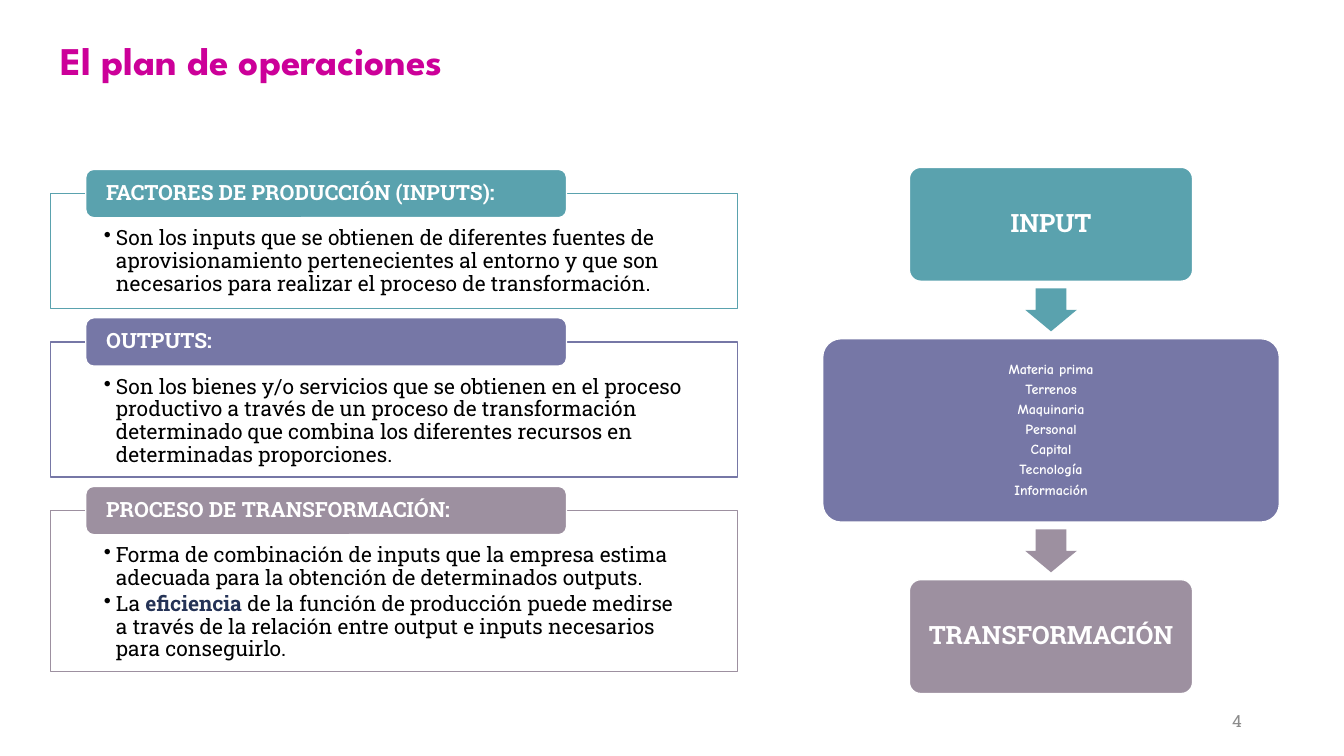
from dataclasses import dataclass

from lxml import etree
from pptx import Presentation
from pptx.dml.color import RGBColor
from pptx.enum.shapes import MSO_SHAPE
from pptx.enum.text import MSO_ANCHOR, MSO_AUTO_SIZE, PP_ALIGN
from pptx.oxml.ns import qn
from pptx.util import Inches, Pt

RECTANGLE, ROUNDED = MSO_SHAPE.RECTANGLE, MSO_SHAPE.ROUNDED_RECTANGLE
DOWN_ARROW = MSO_SHAPE.DOWN_ARROW
TOP, MIDDLE = MSO_ANCHOR.TOP, MSO_ANCHOR.MIDDLE
LEFT, CENTER, RIGHT = PP_ALIGN.LEFT, PP_ALIGN.CENTER, PP_ALIGN.RIGHT

PAGE_WIDTH, PAGE_HEIGHT = Inches(13.33), Inches(7.5)
TEAL, VIOLET, MAUVE = "5AA2AE", "7677A6", "9D90A0"
WHITE, BLACK, NAVY, MAGENTA, GREY = "FFFFFF", "000000", "253356", "CC0099", "8C8C8C"
SLAB, COMIC, SPARTAN = "Roboto Slab", "Comic Neue", "League Spartan"

PANEL_LEFT, PANEL_TOP, PANEL_WIDTH, PANEL_GAP = 3.75, 25.6, 51.15, 4.43
TAG_LEFT, TAG_WIDTH, TAG_HEIGHT = 6.38, 35.78, 6.4
FLOW_CENTER, FLOW_TOP, FLOW_GAP = 78.2, 22.13, 7.6
ARROW_WIDTH, ARROW_HEIGHT = 3.83, 5.67


@dataclass(frozen=True)
class Area:
    """Percentages of the slide's width and height."""
    left: float
    top: float
    width: float
    height: float


@dataclass(frozen=True)
class Margins:
    side: float
    top: float
    bottom: float


@dataclass(frozen=True)
class Style:
    font: str
    size: float
    color: str
    bold: bool = False
    align: PP_ALIGN = LEFT
    line_spacing: float = 0.9
    after: float = 0
    bullet: bool = False


@dataclass(frozen=True)
class Span:
    text: str
    strong: bool = False


@dataclass(frozen=True)
class Panel:
    heading: str
    color: str
    height: float
    points: list[list[Span]]


@dataclass(frozen=True)
class Step:
    lines: list[str]
    color: str
    width: float
    height: float
    style: Style
    margins: Margins


BODY = Style(SLAB, 15, BLACK, after=2.25, bullet=True)
HEADING = Style(SLAB, 15, WHITE, True, after=5.25)
STAGE = Style(SLAB, 18, WHITE, True, CENTER, after=6.3)
RESOURCE = Style(COMIC, 10, WHITE, True, CENTER, after=3.5)
TITLE = Style(SPARTAN, 28, MAGENTA, True, line_spacing=1)
PAGE_NUMBER = Style(SLAB, 12, GREY, align=RIGHT, line_spacing=1, after=6)

BODY_MARGINS = Margins(3.98, 4.53, 1.6)
TAG_MARGINS = Margins(1.35, 0, 0)
STAGE_MARGINS = Margins(0.53, 0.93, 0.93)
RESOURCE_MARGINS = Margins(0.3, 0.53, 0.53)
PLAIN_MARGINS = Margins(0.75, 0.67, 0.67)

PANELS = [
    Panel("FACTORES DE PRODUCCIÓN (INPUTS):", TEAL, 15.2, [
        [Span("Son los inputs que se obtienen de diferentes fuentes de aprovisionamiento "
              "pertenecientes al entorno y que son necesarios para realizar el proceso "
              "de transformación.")]]),
    Panel("OUTPUTS:", VIOLET, 17.87, [
        [Span("Son los bienes y/o servicios que se obtienen en el proceso productivo a "
              "través de un proceso de transformación determinado que combina los "
              "diferentes recursos en determinadas proporciones.")]]),
    Panel("PROCESO DE TRANSFORMACIÓN:", MAUVE, 21.33, [
        [Span("Forma de combinación de inputs que la empresa estima adecuada para la "
              "obtención de determinados outputs.")],
        [Span("La "), Span("eficiencia", True),
         Span(" de la función de producción puede medirse a través de la relación entre "
              "output e inputs necesarios para conseguirlo.")]]),
]

STEPS = [
    Step(["INPUT"], TEAL, 21.08, 15.07, STAGE, STAGE_MARGINS),
    Step(["Materia prima", "Terrenos", "Maquinaria", "Personal", "Capital",
          "Tecnología", "Información"], VIOLET, 33.98, 24.27, RESOURCE, RESOURCE_MARGINS),
    Step(["TRANSFORMACIÓN"], MAUVE, 21.08, 15.07, STAGE, STAGE_MARGINS),
]


def across(share: float) -> int:
    return round(PAGE_WIDTH * share / 100)


def down(share: float) -> int:
    return round(PAGE_HEIGHT * share / 100)


def place(area: Area) -> tuple[int, int, int, int]:
    return across(area.left), down(area.top), across(area.width), down(area.height)


def rgb(color: str) -> RGBColor:
    return RGBColor.from_string(color)


def add_bullet(para) -> None:
    properties = para._p.get_or_add_pPr()
    properties.set("marL", str(Inches(0.12)))
    properties.set("indent", str(-Inches(0.12)))
    etree.SubElement(properties, qn("a:buChar")).set("char", "•")


def write(box, paragraphs: list[list[Span]], style: Style, margins: Margins,
          anchor: MSO_ANCHOR, wrap: bool = True) -> None:
    frame = box.text_frame
    frame.word_wrap = wrap
    frame.vertical_anchor = anchor
    frame.margin_left = frame.margin_right = across(margins.side)
    frame.margin_top, frame.margin_bottom = down(margins.top), down(margins.bottom)
    for index, spans in enumerate(paragraphs):
        para = frame.add_paragraph() if index else frame.paragraphs[0]
        para.alignment = style.align
        para.line_spacing = style.line_spacing
        para.space_after = Pt(style.after)
        if style.bullet:
            add_bullet(para)
        font = para.font
        font.name, font.size, font.bold = style.font, Pt(style.size), style.bold
        font.color.rgb = rgb(style.color)
        for span in spans:
            run = para.add_run()
            run.text = span.text
            if span.strong:
                run.font.bold = True
                run.font.color.rgb = rgb(NAVY)


def add_block(page, kind: MSO_SHAPE, area: Area, fill: str, line: str | None = None):
    block = page.shapes.add_shape(kind, *place(area))
    block.shadow.inherit = False
    block.fill.solid()
    block.fill.fore_color.rgb = rgb(fill)
    if line:
        block.line.color.rgb = rgb(line)
        block.line.width = Pt(1)
    else:
        block.line.fill.background()
    return block


def draw_panels(page) -> None:
    top = PANEL_TOP
    for panel in PANELS:
        area = Area(PANEL_LEFT, top, PANEL_WIDTH, panel.height)
        body = add_block(page, RECTANGLE, area, WHITE, panel.color)
        write(body, panel.points, BODY, BODY_MARGINS, TOP)
        tag_area = Area(TAG_LEFT, top - TAG_HEIGHT / 2, TAG_WIDTH, TAG_HEIGHT)
        tag = add_block(page, ROUNDED, tag_area, panel.color, WHITE)
        write(tag, [[Span(panel.heading)]], HEADING, TAG_MARGINS, MIDDLE)
        top += panel.height + PANEL_GAP


def draw_flow(page) -> None:
    top = FLOW_TOP
    arrow_colors = [TEAL, MAUVE]
    for index, step in enumerate(STEPS):
        area = Area(FLOW_CENTER - step.width / 2, top, step.width, step.height)
        block = add_block(page, ROUNDED, area, step.color, WHITE)
        block.adjustments[0] = 0.1
        write(block, [[Span(line)] for line in step.lines], step.style, step.margins, MIDDLE)
        top += step.height
        if index < len(arrow_colors):
            arrow_area = Area(FLOW_CENTER - ARROW_WIDTH / 2,
                              top + (FLOW_GAP - ARROW_HEIGHT) / 2, ARROW_WIDTH, ARROW_HEIGHT)
            arrow = add_block(page, DOWN_ARROW, arrow_area, arrow_colors[index])
            arrow.adjustments[0], arrow.adjustments[1] = 0.6, 0.5
        top += FLOW_GAP


def main() -> None:
    deck = Presentation()
    deck.slide_width, deck.slide_height = PAGE_WIDTH, PAGE_HEIGHT
    page = deck.slides.add_slide(deck.slide_layouts[6])
    draw_panels(page)
    draw_flow(page)
    number = page.shapes.add_textbox(*place(Area(70.65, 92.67, 22.5, 5.33)))
    write(number, [[Span("4")]], PAGE_NUMBER, PLAIN_MARGINS, MIDDLE)
    title = page.shapes.add_textbox(*place(Area(3.75, 4.13, 34.43, 7.6)))
    write(title, [[Span("El plan de operaciones")]], TITLE, PLAIN_MARGINS, TOP, wrap=False)
    title.text_frame.auto_size = MSO_AUTO_SIZE.SHAPE_TO_FIT_TEXT
    deck.save("out.pptx")


if __name__ == "__main__":
    main()
